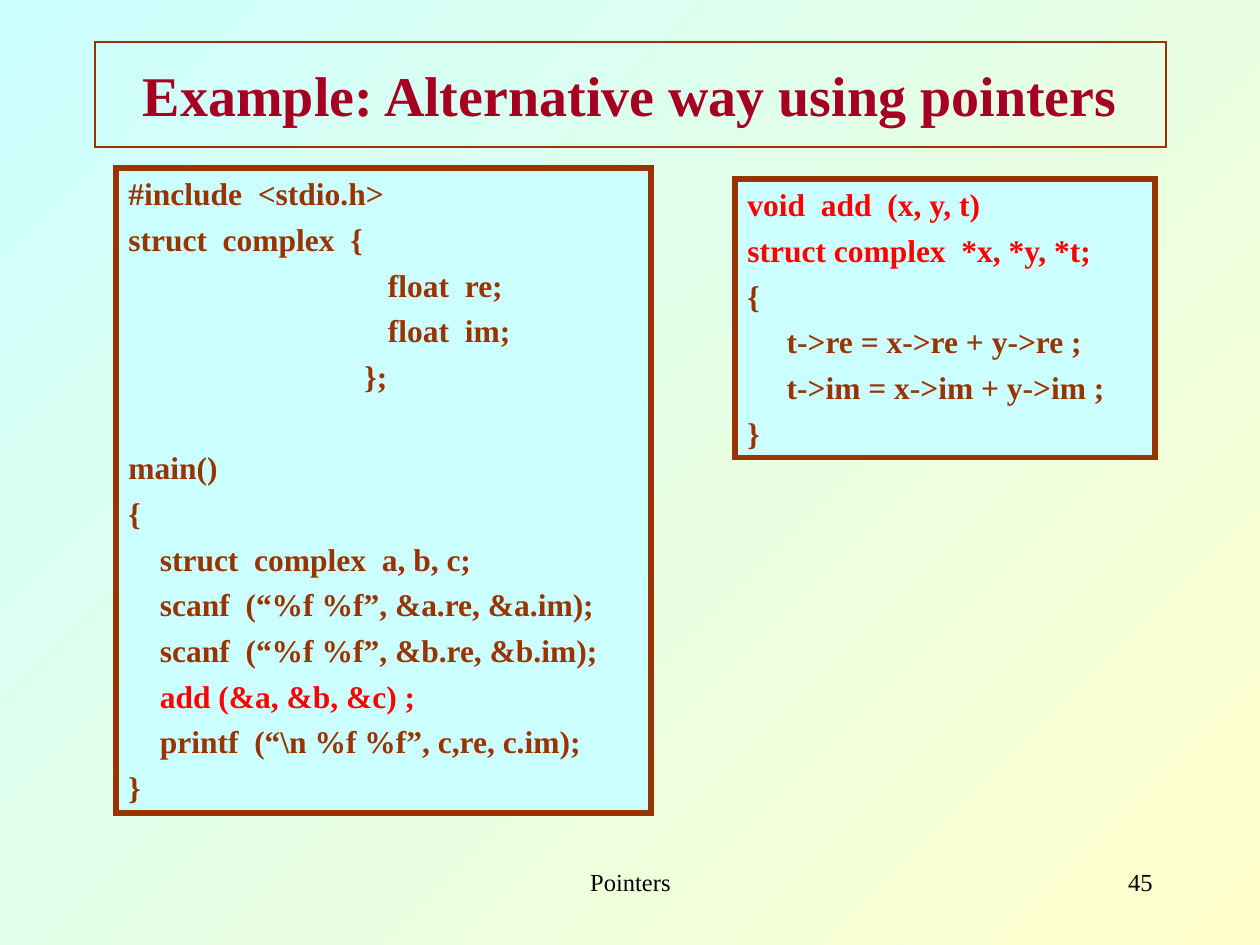
from typing import NamedTuple

from lxml.etree import SubElement
from pptx import Presentation
from pptx.dml.color import RGBColor
from pptx.enum.shapes import MSO_SHAPE
from pptx.enum.text import MSO_ANCHOR, PP_ALIGN
from pptx.oxml.ns import qn
from pptx.slide import Slide
from pptx.util import Emu, Pt

PX = 914400 / 126
FONT = "Times New Roman"
COLORS = {
    "cyan": "CCFFFF",
    "yellow": "FFFFCC",
    "brown": "993300",
    "crimson": "A50021",
    "red": "FF0000",
    "black": "000000",
}
LINE_GAP = 4.5
SECTION_GAP = 30.6


class Line(NamedTuple):
    text: str
    color: str = "brown"
    gap: float = LINE_GAP


class Panel(NamedTuple):
    left: int
    top: int
    width: int
    height: int
    lines: list[Line]
    size: int = 18
    bold: bool = True
    align: PP_ALIGN = PP_ALIGN.LEFT
    anchor: MSO_ANCHOR = MSO_ANCHOR.TOP
    fill: str | None = None
    border: float | None = None


PROGRAM = [
    Line("#include  <stdio.h>"),
    Line("struct  complex  {"),
    Line("                                 float  re;"),
    Line("                                 float  im;"),
    Line("                              };"),
    Line("main()", gap=SECTION_GAP),
    Line("{"),
    Line("    struct  complex  a, b, c;"),
    Line("    scanf  (“%f %f”, &a.re, &a.im);"),
    Line("    scanf  (“%f %f”, &b.re, &b.im);"),
    Line("    add (&a, &b, &c) ;", "red"),
    Line("    printf  (“\\n %f %f”, c,re, c.im);"),
    Line("}"),
]
ADD_FUNCTION = [
    Line("void  add  (x, y, t)", "red"),
    Line("struct complex  *x, *y, *t;", "red"),
    Line("{"),
    Line("     t->re = x->re + y->re ;"),
    Line("     t->im = x->im + y->im ;"),
    Line("}"),
]
PANELS = [
    Panel(431, 861, 399, 63, [Line("Pointers", "black")], 14, False, PP_ALIGN.CENTER),
    Panel(903, 861, 262, 63, [Line("45", "black")], 14, False, PP_ALIGN.RIGHT),
    Panel(95, 42, 1071, 105, [Line("Example: Alternative way using pointers", "crimson")],
          32, True, PP_ALIGN.CENTER, MSO_ANCHOR.MIDDLE, border=0.75),
    Panel(116, 168, 535, 645, PROGRAM, fill="cyan", border=3),
    Panel(735, 179, 420, 279, ADD_FUNCTION, fill="cyan", border=3),
]


def px(length: int) -> Emu:
    return Emu(round(length * PX))


def rgb(name: str) -> RGBColor:
    return RGBColor.from_string(COLORS[name])


def paint_background(slide: Slide) -> None:
    fill = slide.background.fill
    fill.gradient()
    fill.gradient_angle = 315
    for stop, position, color in zip(fill.gradient_stops, (0, 1), ("cyan", "yellow")):
        stop.position = position
        stop.color.rgb = rgb(color)


def draw_panel(slide: Slide, panel: Panel) -> None:
    bounds = [px(length) for length in panel[:4]]
    if panel.border:
        box = slide.shapes.add_shape(MSO_SHAPE.RECTANGLE, *bounds)
        box.shadow.inherit = False
        box.line.color.rgb = rgb("brown")
        box.line.width = Pt(panel.border)
        SubElement(box.element.spPr.find(qn("a:ln")), qn("a:miter"), lim="800000")
    else:
        box = slide.shapes.add_textbox(*bounds)
    if panel.fill:
        box.fill.solid()
        box.fill.fore_color.rgb = rgb(panel.fill)
    else:
        box.fill.background()

    frame = box.text_frame
    frame.word_wrap = True
    frame.vertical_anchor = panel.anchor
    frame.text = "\n".join(line.text for line in panel.lines)
    for index, (paragraph, line) in enumerate(zip(frame.paragraphs, panel.lines)):
        paragraph.alignment = panel.align
        paragraph.space_before = Pt(line.gap if index else 0)
        for run in paragraph.runs:
            run.font.name = FONT
            run.font.size = Pt(panel.size)
            run.font.bold = panel.bold
            run.font.color.rgb = rgb(line.color)


def main() -> None:
    presentation = Presentation()
    presentation.slide_width = px(1260)
    presentation.slide_height = px(945)
    slide = presentation.slides.add_slide(presentation.slide_layouts[6])
    paint_background(slide)
    for panel in PANELS:
        draw_panel(slide, panel)
    presentation.save("out.pptx")


if __name__ == "__main__":
    main()
